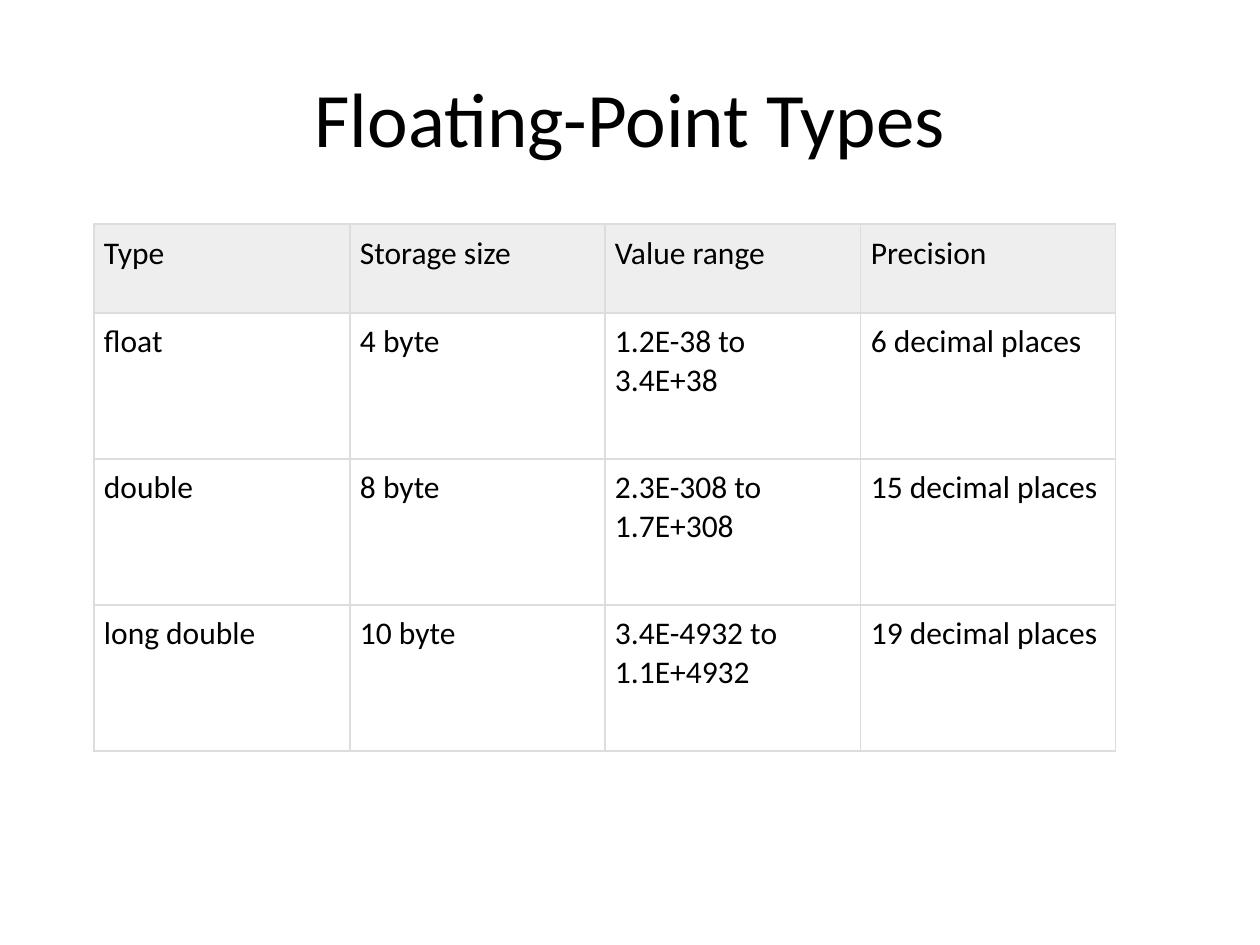
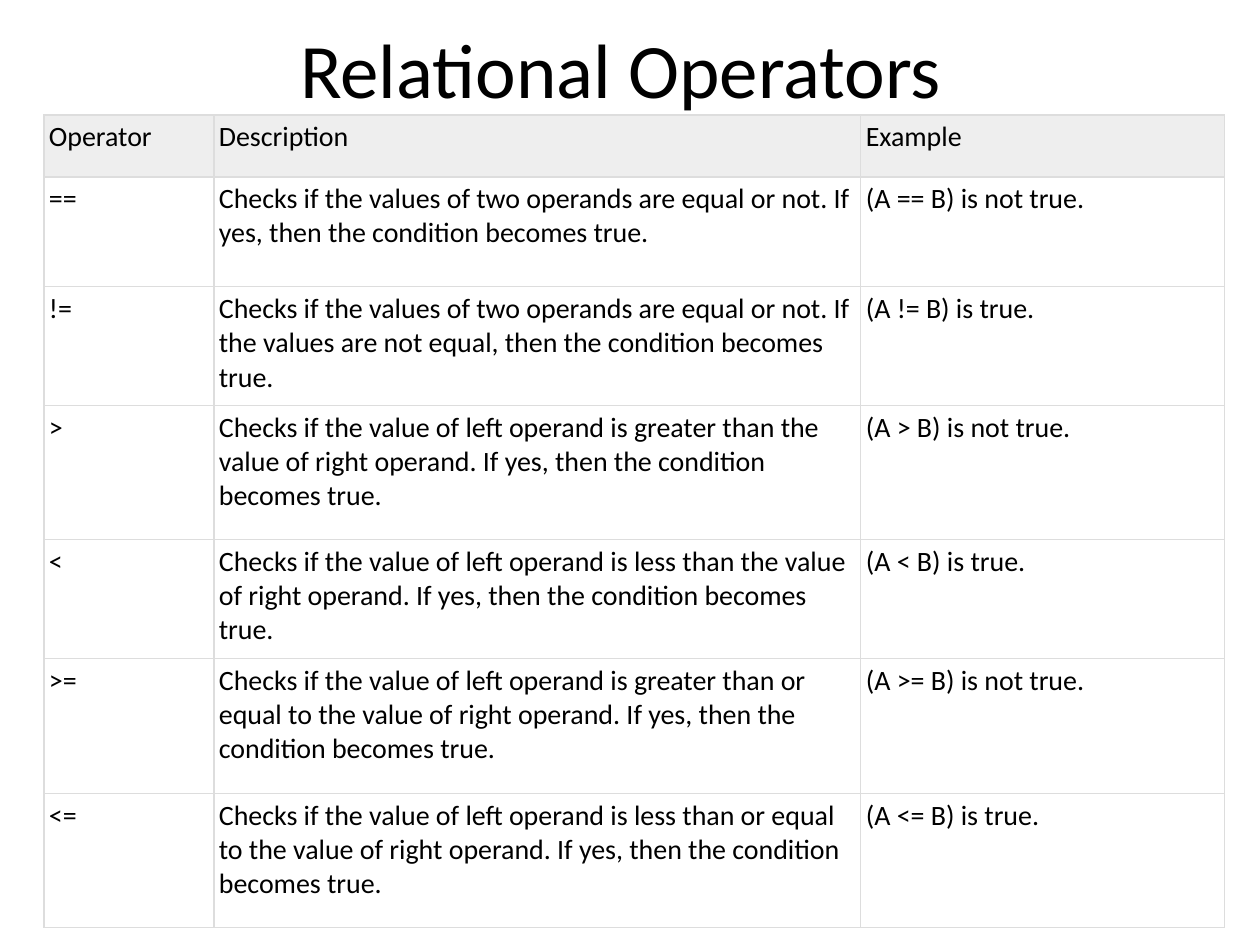
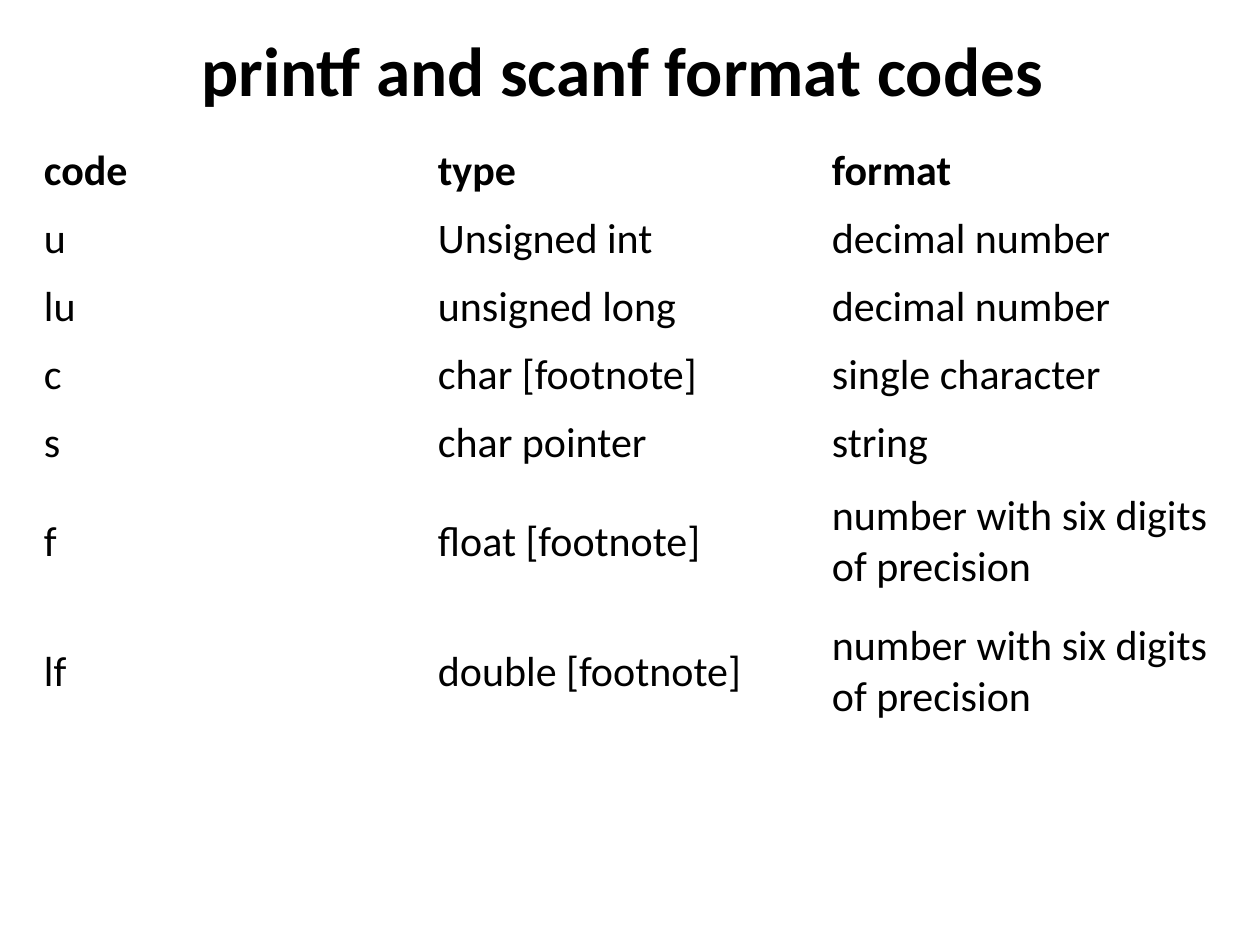
from lxml import etree
from pptx import Presentation
from pptx.dml.color import RGBColor
from pptx.enum.text import MSO_ANCHOR, MSO_AUTO_SIZE, PP_ALIGN
from pptx.oxml.ns import qn
from pptx.util import Emu, Pt

MIDDLE, TOP = MSO_ANCHOR.MIDDLE, MSO_ANCHOR.TOP
CENTER = PP_ALIGN.CENTER
NO_FIT = MSO_AUTO_SIZE.NONE

BLACK = RGBColor(0x00, 0x00, 0x00)
HEAD = RGBColor(0xEE, 0xEE, 0xEE)
RULE = RGBColor(0xDD, 0xDD, 0xDD)

FONT = "Calibri"
TITLE_ONLY = 5
PX_PER_INCH = 126


def px(n):
    return Emu(round(n * 914400 / PX_PER_INCH))


class Deck:
    def __init__(self):
        self.prs = Presentation()
        self.prs.slide_width = px(1260)
        self.prs.slide_height = px(945)
        self.slide = None

    def style(self, para, size, bold=False):
        for run in para.runs:
            font = run.font
            font.name, font.size, font.bold = FONT, Pt(size), bold
            font.color.rgb = BLACK

    def start(self, title, box, size=44, bold=False):
        """Add a slide with its title in box (left, top, width, height)."""
        layout = self.prs.slide_layouts[TITLE_ONLY]
        self.slide = self.prs.slides.add_slide(layout)
        shape = self.slide.shapes.title
        shape.left, shape.top, shape.width, shape.height = map(px, box)
        frame = shape.text_frame
        frame.text = title
        frame.word_wrap = True
        frame.auto_size = NO_FIT
        frame.vertical_anchor = MIDDLE
        para = frame.paragraphs[0]
        para.alignment = CENTER
        self.style(para, size, bold)

    def border(self, cell):
        props = cell._tc.get_or_add_tcPr()
        for side in ("lnL", "lnR", "lnT", "lnB"):
            line = etree.SubElement(props, qn(f"a:{side}"), w=str(Pt(0.75)))
            fill = etree.SubElement(line, qn("a:solidFill"))
            etree.SubElement(fill, qn("a:srgbClr"), val=str(RULE))

    def table(self, left, top, cols, rows, data, size, pad, ruled=True):
        """Add a table; pad is the (side, top and bottom) cell margin."""
        table = self.slide.shapes.add_table(
            len(rows), len(cols), px(left), px(top),
            px(sum(cols)), px(sum(rows))).table
        table.first_row = table.horz_banding = False
        for col, width in zip(table.columns, cols):
            col.width = px(width)
        for r, (row, height) in enumerate(zip(table.rows, rows)):
            row.height = px(height)
            for cell, text in zip(row.cells, data[r]):
                cell.text = text
                cell.margin_left = cell.margin_right = px(pad[0])
                cell.margin_top = cell.margin_bottom = px(pad[1])
                cell.vertical_anchor = TOP if ruled else MIDDLE
                self.style(cell.text_frame.paragraphs[0], size,
                           bold=r == 0 and not ruled)
                if ruled:
                    self.border(cell)
                if ruled and r == 0:
                    cell.fill.solid()
                    cell.fill.fore_color.rgb = HEAD
                else:
                    cell.fill.background()


FLOATS = [
    ("Type", "Storage size", "Value range", "Precision"),
    ("float", "4 byte", "1.2E-38 to 3.4E+38", "6 decimal places"),
    ("double", "8 byte", "2.3E-308 to 1.7E+308", "15 decimal places"),
    ("long double", "10 byte", "3.4E-4932 to 1.1E+4932", "19 decimal places"),
]

# Operator, what it checks, what makes it true, verdict for the example
CHECKS = [
    ("==", "values of two operands are equal or not", "yes", "is not true"),
    ("!=", "values of two operands are equal or not",
     "the values are not equal", "is true"),
    (">", "value of left operand is greater than the value of right operand",
     "yes", "is not true"),
    ("<", "value of left operand is less than the value of right operand",
     "yes", "is true"),
    (">=", "value of left operand is greater than or equal to the value of "
     "right operand", "yes", "is not true"),
    ("<=", "value of left operand is less than or equal to the value of "
     "right operand", "yes", "is true"),
]
OPERATORS = [("Operator", "Description", "Example")] + [
    (sign, f"Checks if the {test}. If {case}, then the condition becomes true.",
     f"(A {sign} B) {verdict}.")
    for sign, test, case, verdict in CHECKS
]

CODES = [
    ("code", "type", "format"),
    ("u", "Unsigned int", "decimal number"),
    ("lu", "unsigned long", "decimal number"),
    ("c", "char [footnote]", "single character"),
    ("s", "char pointer", "string"),
    ("f", "float [footnote]", "number with six digits of precision"),
    ("lf", "double [footnote]", "number with six digits of precision"),
]


def main():
    deck = Deck()

    deck.start("Floating-Point Types", (63, 38, 1134, 158))
    deck.table(94, 224, [256, 255] * 2, [89] + [146] * 3, FLOATS,
               size=18, pad=(10, 10))

    deck.start("Relational Operators", (54, 0, 1134, 135))
    deck.table(44, 115, [170, 647, 364], [62, 110, 119, 134, 119, 135, 134],
               OPERATORS, size=16, pad=(5, 5))

    deck.start("printf and scanf format codes", (24, 20, 1197, 98),
               size=39.6, bold=True)
    deck.table(39, 137, [394] * 3, [68] * 5 + [130] * 2, CODES,
               size=24, pad=(5, 3), ruled=False)

    deck.prs.save("out.pptx")


if __name__ == "__main__":
    main()
